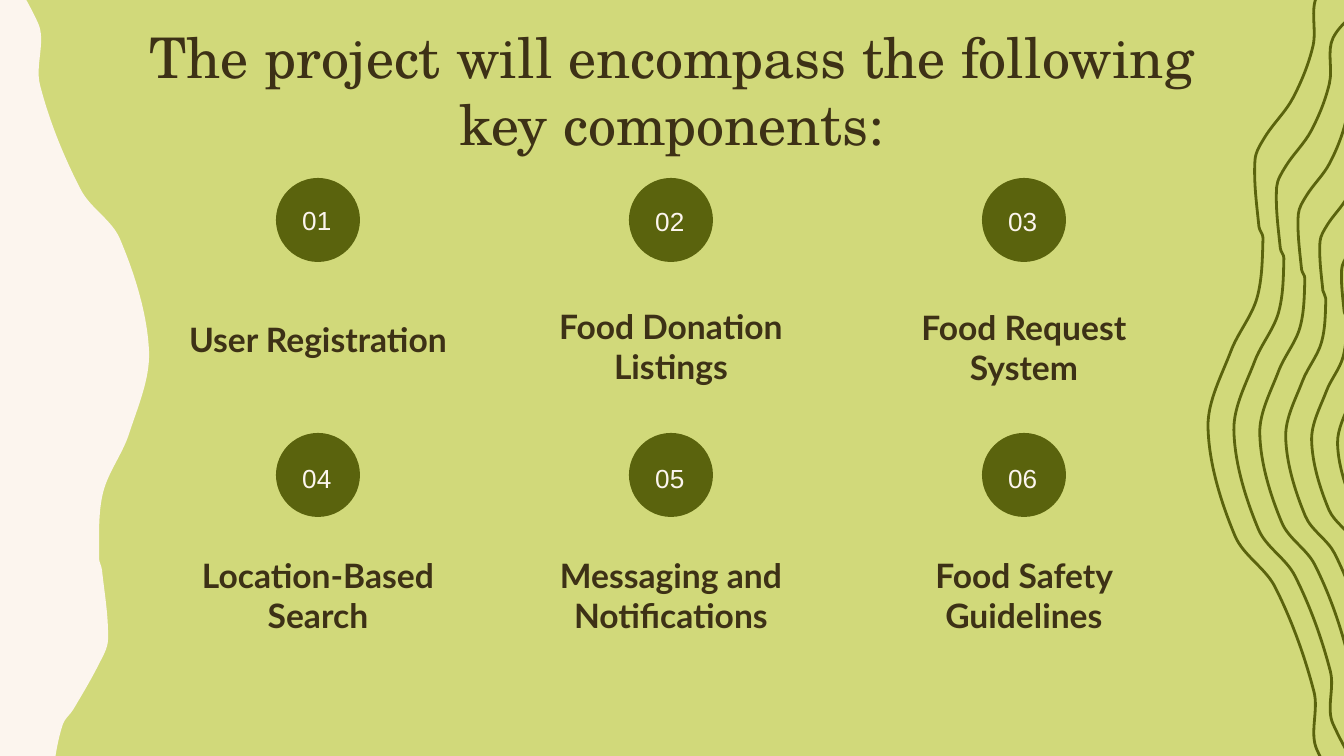
import math
from dataclasses import dataclass

import lxml.etree
import pptx
import pptx.dml.color
import pptx.enum.shapes
import pptx.enum.text
import pptx.oxml.ns
import pptx.util

WIDE, HIGH = 1344, 756
SCALE = 9144000 / WIDE  # EMU in one px


@dataclass(frozen=True)
class Theme:
    back: str = "D1D97A"
    cream: str = "FCF5EE"
    olive: str = "5A630D"
    ink: str = "3D3116"
    head: tuple = ("TeX Gyre Schola", 30)
    label: tuple = ("Lato", 18)
    digit: tuple = ("Arial", 14)
    line: float = 1.5


THEME = Theme()

# Knots of the two wavy outlines, in px
BLOB = [
    (-320, 39), (-337, 94), (-343, 175), (-343, 226), (-360, 288), (-392, 352),
    (-405, 465), (-359, 544), (-281, 609), (-223, 649), (-183, 728), (-184, 780),
    (-155, 839), (-114, 856), (-85, 878), (-47, 899), (-9, 880), (12, 868),
    (46, 840), (51, 821), (54, 767), (63, 724), (73, 710), (99, 664),
    (108, 640), (102, 570), (99, 558), (103, 493), (129, 434), (149, 351),
    (120, 239), (81, 190), (40, 85), (38, 23), (-35, -77), (-102, -89),
    (-137, -87), (-230, -58),
]
RING = [
    (1458, 875), (1388, 853), (1317, 750), (1314, 692), (1275, 587), (1235, 536),
    (1208, 427), (1231, 351), (1257, 298), (1263, 238), (1259, 227), (1255, 160),
    (1265, 137), (1293, 98), (1313, 46), (1317, -4), (1357, -43), (1379, -52),
    (1456, -42), (1486, -16), (1528, 5), (1556, 66), (1555, 114), (1594, 194),
    (1652, 238), (1731, 310), (1777, 391), (1762, 495), (1730, 547), (1708, 609),
    (1708, 656), (1702, 732), (1589, 860), (1493, 878),
]
HUB = (1496, 463)  # point towards which the rings shrink
RINGS, SHRINK = 6, 0.09

# Label, then the tops of digits and label below the top of the card
CARDS = [
    ("User Registration", 20, 135),
    ("Food Donation Listings", 21, 142),
    ("Food Request System", 21, 143),
    ("Location-Based Search", 23, 136),
    ("Messaging and Notifications", 23, 136),
    ("Food Safety Guidelines", 23, 136),
]
COLS = 3
GRID = (169, 178, 298, 188)  # first card
STEP = (353, 255)


def emu(px):
    return round(px * SCALE)


def place(box):
    return [emu(px) for px in box]


def tint(hue):
    return pptx.dml.color.RGBColor.from_string(hue)


def paint(fill, hue):
    fill.solid()
    fill.fore_color.rgb = tint(hue)


def write(frame, words, font, hue, bold=False):
    face, size = font
    run = frame.paragraphs[0].add_run()
    run.text = words
    run.font.name = face
    run.font.size = pptx.util.Pt(size)
    run.font.bold = bold
    run.font.color.rgb = tint(hue)


def center(frame):
    frame.word_wrap = True
    frame.auto_size = pptx.enum.text.MSO_AUTO_SIZE.NONE
    frame.vertical_anchor = pptx.enum.text.MSO_ANCHOR.MIDDLE
    frame.margin_left = frame.margin_right = pptx.util.Inches(0.1)
    frame.margin_top = frame.margin_bottom = pptx.util.Inches(0.1)
    frame.paragraphs[0].alignment = pptx.enum.text.PP_ALIGN.CENTER


def grips(knots):
    """The two control points of each curve from one knot to the next."""
    after = knots[1:] + knots[:1]
    gaps = [math.dist(a, b) for a, b in zip(knots, after)]
    slopes = []
    for i in range(len(knots)):
        span = gaps[i - 1] + gaps[i]
        slopes.append([(b - a) / span for a, b in zip(knots[i - 1], after[i])])
    pairs = []
    for i, gap in enumerate(gaps):
        ahead = slopes[(i + 1) % len(knots)]
        pairs.append((
            [a + m * gap / 3 for a, m in zip(knots[i], slopes[i])],
            [b - n * gap / 3 for b, n in zip(after[i], ahead)],
        ))
    return pairs


def wave(slide, knots):
    points = [place(knot) for knot in knots]
    pen = slide.shapes.build_freeform(*points[0])
    pen.add_line_segments(points[1:] + points[:1], close=True)
    shape = pen.convert_to_shape()
    shape.shadow.inherit = False
    # Bend each straight side into a curve
    name = pptx.oxml.ns.qn
    sides = list(shape._element.iter(name("a:lnTo")))
    for side, pair in zip(sides, grips(knots)):
        side.tag = name("a:cubicBezTo")
        for i, (x, y) in enumerate(map(place, pair)):
            spot = lxml.etree.Element(
                name("a:pt"), x=str(x - shape.left), y=str(y - shape.top))
            side.insert(i, spot)
    return shape


def decor(slide):
    # Cream blob on the left
    blob = wave(slide, BLOB)
    paint(blob.fill, THEME.cream)
    blob.line.fill.background()
    # Nested rings on the right
    for i in range(RINGS):
        zoom = 1 - i * SHRINK
        ring = wave(slide, [
            [hub + (px - hub) * zoom for px, hub in zip(knot, HUB)] for knot in RING
        ])
        ring.fill.background()
        ring.line.color.rgb = tint(THEME.olive)
        ring.line.width = pptx.util.Pt(THEME.line)


def title(slide, box):
    shape = slide.shapes.title
    shape.left, shape.top, shape.width, shape.height = place(box)
    center(shape.text_frame)
    words = "The project will encompass the following key components:"
    write(shape.text_frame, words, THEME.head, THEME.ink)


def card(slide, box, digits, words, drop, fall):
    left, top, width, _ = box
    size = 84
    edge = left + (width - size) / 2
    # Disc
    kind = pptx.enum.shapes.MSO_SHAPE.OVAL
    disc = slide.shapes.add_shape(kind, *place((edge, top, size, size)))
    disc.shadow.inherit = False
    paint(disc.fill, THEME.olive)
    disc.line.fill.background()
    # Digits
    mark = slide.shapes.add_textbox(*place((edge + 13, top + drop, 59, 46)))
    mark.text_frame.word_wrap = True
    write(mark.text_frame, digits, THEME.digit, THEME.cream)
    # Label
    label = slide.shapes.add_textbox(*place((left, top + fall, width, 52)))
    center(label.text_frame)
    write(label.text_frame, words, THEME.label, THEME.ink, bold=True)


def main():
    deck = pptx.Presentation()
    deck.slide_width, deck.slide_height = place((WIDE, HIGH))
    slide = deck.slides.add_slide(deck.slide_layouts.get_by_name("Title Only"))
    paint(slide.background.fill, THEME.back)
    decor(slide)
    title(slide, (105, 47, 1134, 85))
    left, top, width, height = GRID
    for i, (words, drop, fall) in enumerate(CARDS):
        row, col = divmod(i, COLS)
        box = (left + col * STEP[0], top + row * STEP[1], width, height)
        card(slide, box, f"{i + 1:02}", words, drop, fall)
    deck.save("out.pptx")


if __name__ == "__main__":
    main()
